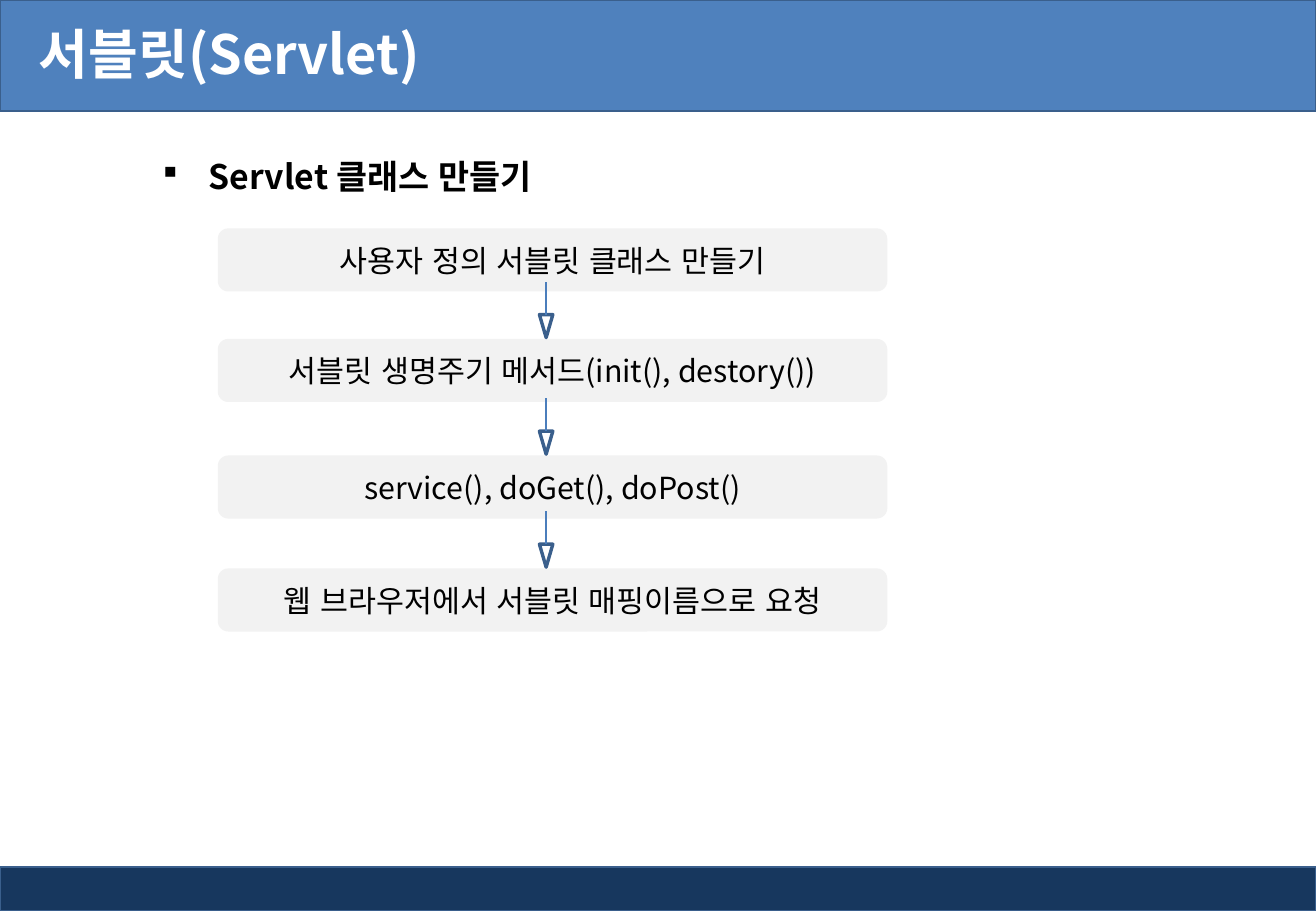
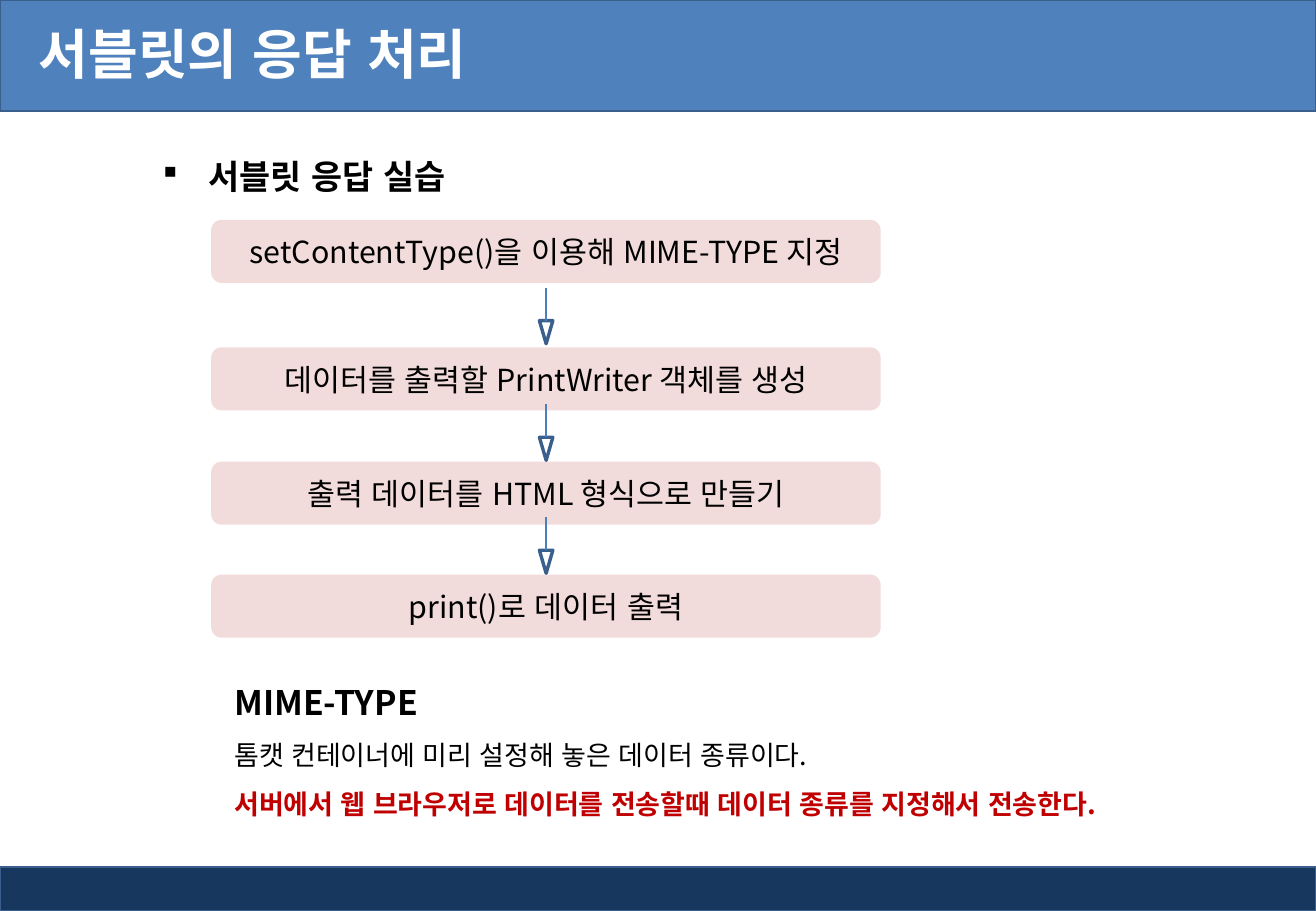
"""Build two slides on servlets: a title band, a flow of four steps and a note."""
from lxml.etree import SubElement as Sub
from pptx import Presentation
from pptx.dml.color import RGBColor as Rgb
from pptx.enum.lang import MSO_LANGUAGE_ID as Lang
from pptx.enum.shapes import MSO_CONNECTOR as Link, MSO_SHAPE as Kind
from pptx.enum.text import MSO_ANCHOR as Anchor, MSO_AUTO_SIZE as Auto, PP_ALIGN as Align
from pptx.oxml.ns import qn
from pptx.util import Inches, Pt

FONT = "Noto Sans CJK KR"
HUES = {
    "head": "4F81BD", "foot": "17375E", "edge": "3A5F8C", "stem": "4B7EBC",
    "gray": "F2F2F2", "pink": "F2DCDB", "red": "C00000",
    "black": "000000", "white": "FFFFFF",
}
HUES = {name: Rgb.from_string(code) for name, code in HUES.items()}
WIDE, HIGH = Inches(10.83), Inches(7.5)
STEP_W, STEP_H = 50.88, 6.93
MID, TIP_W = 41.5, 1.02
STEM_H, TIP_H = 3.6, 2.53
STEMS = (30.93, 43.73, 56.13)

PAGES = [
    {
        "title": "서블릿(Servlet)",
        "topic": "Servlet 클래스 만들기",
        "fill": "gray", "left": 16.55, "drop": 0,
        "steps": [
            (25.07, "사용자 정의 서블릿 클래스 만들기"),
            (37.2, "서블릿 생명주기 메서드(init(), destory())"),
            (50, "service(), doGet(), doPost()"),
            (62.4, "웹 브라우저에서 서블릿 매핑이름으로 요청"),
        ],
        "notes": [],
    },
    {
        "title": "서블릿의 응답 처리",
        "topic": "서블릿 응답 실습",
        "fill": "pink", "left": 16.05, "drop": 0.67,
        "steps": [
            (24.13, "setContentType()을 이용해 MIME-TYPE 지정"),
            (38.13, "데이터를 출력할 PrintWriter 객체를 생성"),
            (50.67, "출력 데이터를 HTML 형식으로 만들기"),
            (63.07, "print()로 데이터 출력"),
        ],
        "notes": [
            ("MIME-TYPE", 20, "black", True),
            ("톰캣 컨테이너에 미리 설정해 놓은 데이터 종류이다.", 16, "black", False),
            ("서버에서 웹 브라우저로 데이터를 전송할때 데이터 종류를 지정해서 전송한다.",
             16, "red", True),
        ],
    },
]


def span(x, y, w, h):
    """Turn percentages of the slide into lengths."""
    return [round(side * part / 100) for side, part in zip((WIDE, HIGH) * 2, (x, y, w, h))]


def ink(para, size, hue, bold):
    """Set the look of every run in a paragraph."""
    for run in para.runs:
        font = run.font
        font.name, font.size, font.bold = FONT, Pt(size), bold
        font.language_id = Lang.KOREAN
        font.color.rgb = HUES[hue]
        Sub(font._element, qn("a:ea"), typeface=FONT)


deck = Presentation()
deck.slide_width, deck.slide_height = WIDE, HIGH
blank = deck.slide_layouts[6]
for item in list(blank.placeholders):
    item.element.getparent().remove(item.element)

slides = [deck.slides.add_slide(blank) for page in PAGES]

bands = [("foot", (0, 95.2, 100, 4.8)), ("head", (0, 0, 100, 12.2))]
for num, (hue, area) in enumerate(bands, 2):
    band = slides[0].shapes.add_shape(Kind.RECTANGLE, *span(*area))
    band.shadow.inherit = False
    band.fill.solid()
    band.fill.fore_color.rgb = HUES[hue]
    band.line.color.rgb = HUES["edge"]
    band.line.width = Pt(1)
    band.element.nvSpPr.cNvPr.set("id", str(num))
    blank.shapes.element.append(band.element)

for slide, page in zip(slides, PAGES):
    shapes = slide.shapes

    frame = shapes.add_textbox(*span(0, 0, 84.2, 11.6)).text_frame
    frame.word_wrap = True
    frame.vertical_anchor = Anchor.MIDDLE
    frame.margin_left = Inches(0.32)
    frame.text = page["title"]
    ink(frame.paragraphs[0], 32, "white", True)

    for top, text in page["steps"]:
        step = shapes.add_shape(Kind.ROUNDED_RECTANGLE, *span(page["left"], top, STEP_W, STEP_H))
        step.shadow.inherit = False
        step.fill.solid()
        step.fill.fore_color.rgb = HUES[page["fill"]]
        step.line.fill.background()
        step.text_frame.text = text
        para = step.text_frame.paragraphs[0]
        para.alignment = Align.CENTER
        ink(para, 18, "black", False)

    for stem in STEMS:
        top = stem + page["drop"]
        parts = shapes.add_group_shape().shapes
        tip = parts.add_shape(
            Kind.ISOSCELES_TRIANGLE, *span(MID - TIP_W / 2, top + STEM_H, TIP_W, TIP_H))
        tip.rotation = 180
        tip.shadow.inherit = False
        tip.fill.background()
        tip.line.color.rgb = HUES["edge"]
        tip.line.width = Pt(2)
        line = parts.add_connector(Link.STRAIGHT, *span(MID, top + STEM_H, MID, top))
        line.line.color.rgb = HUES["stem"]
        line.line.width = Pt(1)
        Sub(line.element.spPr, qn("a:effectLst"))

    if page["notes"]:
        frame = shapes.add_textbox(*span(16.9, 72, 75.25, 19.47)).text_frame
        frame.word_wrap = True
        frame.auto_size = Auto.SHAPE_TO_FIT_TEXT
        frame.text = "\n".join(note[0] for note in page["notes"])
        for para, (text, *look) in zip(frame.paragraphs, page["notes"]):
            para.line_spacing = 1.5
            ink(para, *look)

    frame = shapes.add_textbox(*span(11.45, 14.27, 72.02, 7.2)).text_frame
    frame.word_wrap = True
    frame.auto_size = Auto.SHAPE_TO_FIT_TEXT
    frame.text = page["topic"]
    para = frame.paragraphs[0]
    props = para._p.get_or_add_pPr()
    props.set("marL", str(Inches(0.38)))
    props.set("indent", str(-Inches(0.38)))
    Sub(props, qn("a:buFont"), typeface="Wingdings", charset="2")
    Sub(props, qn("a:buChar"), char="§")
    para.line_spacing = 1.5
    ink(para, 20, "black", True)

deck.save("out.pptx")
